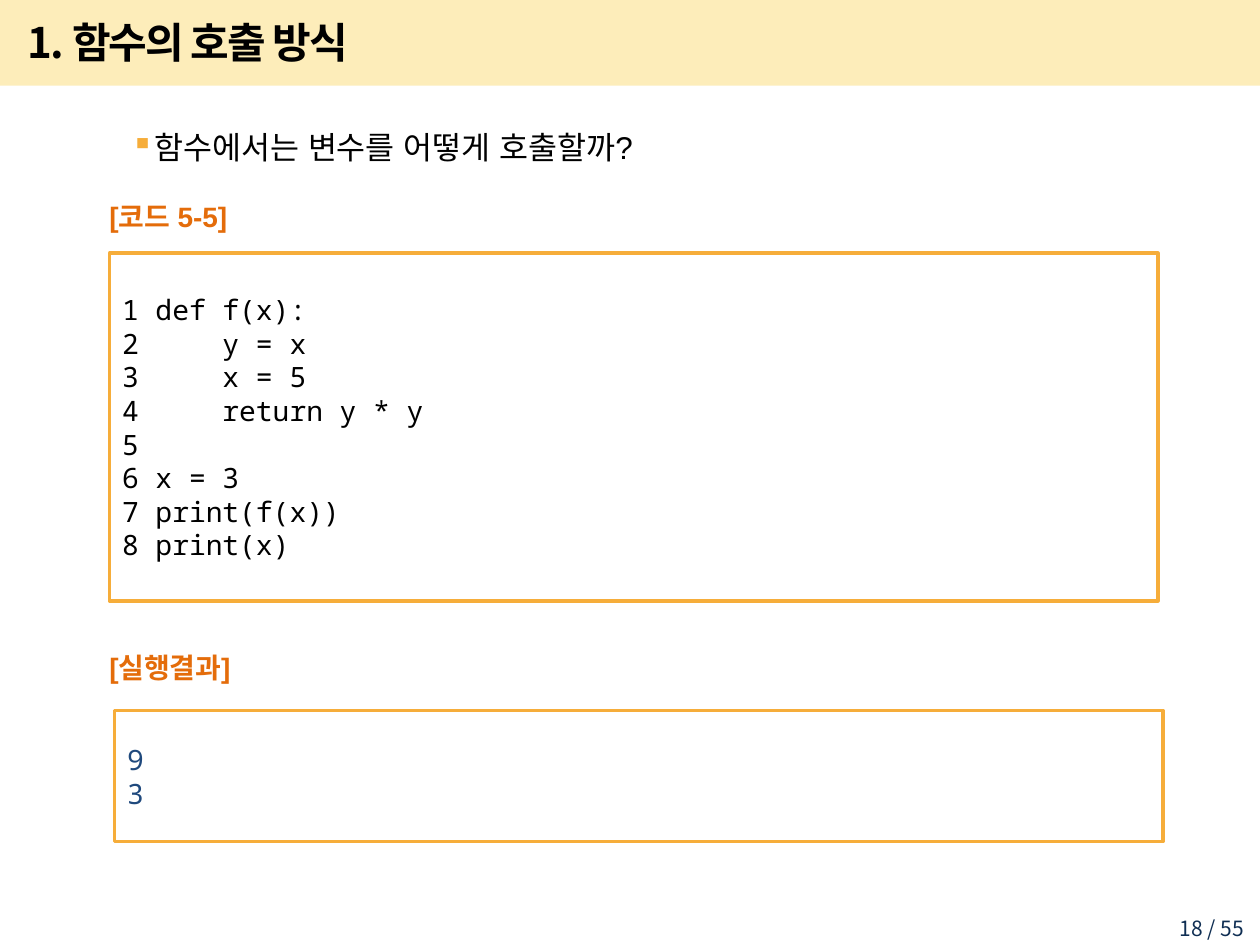
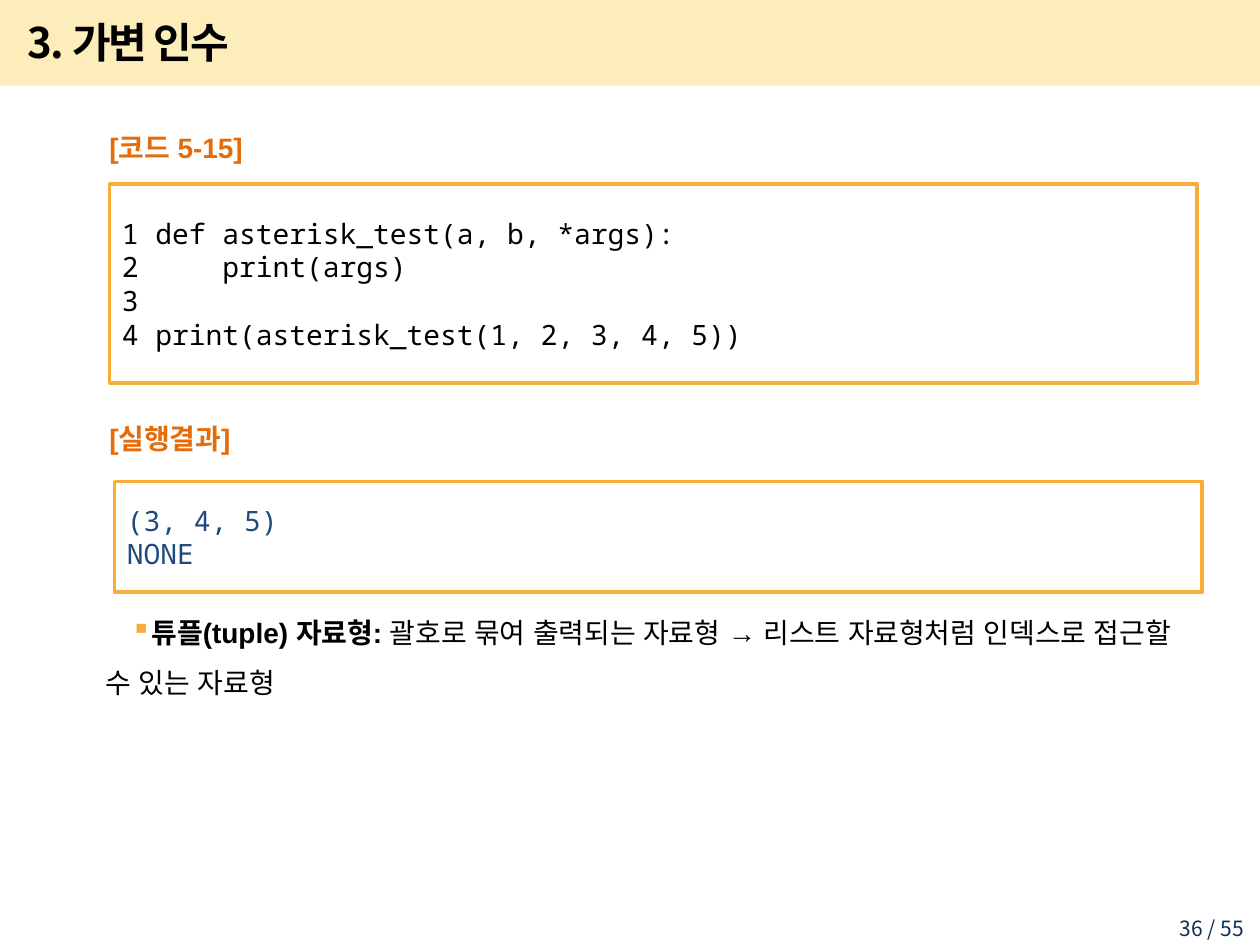
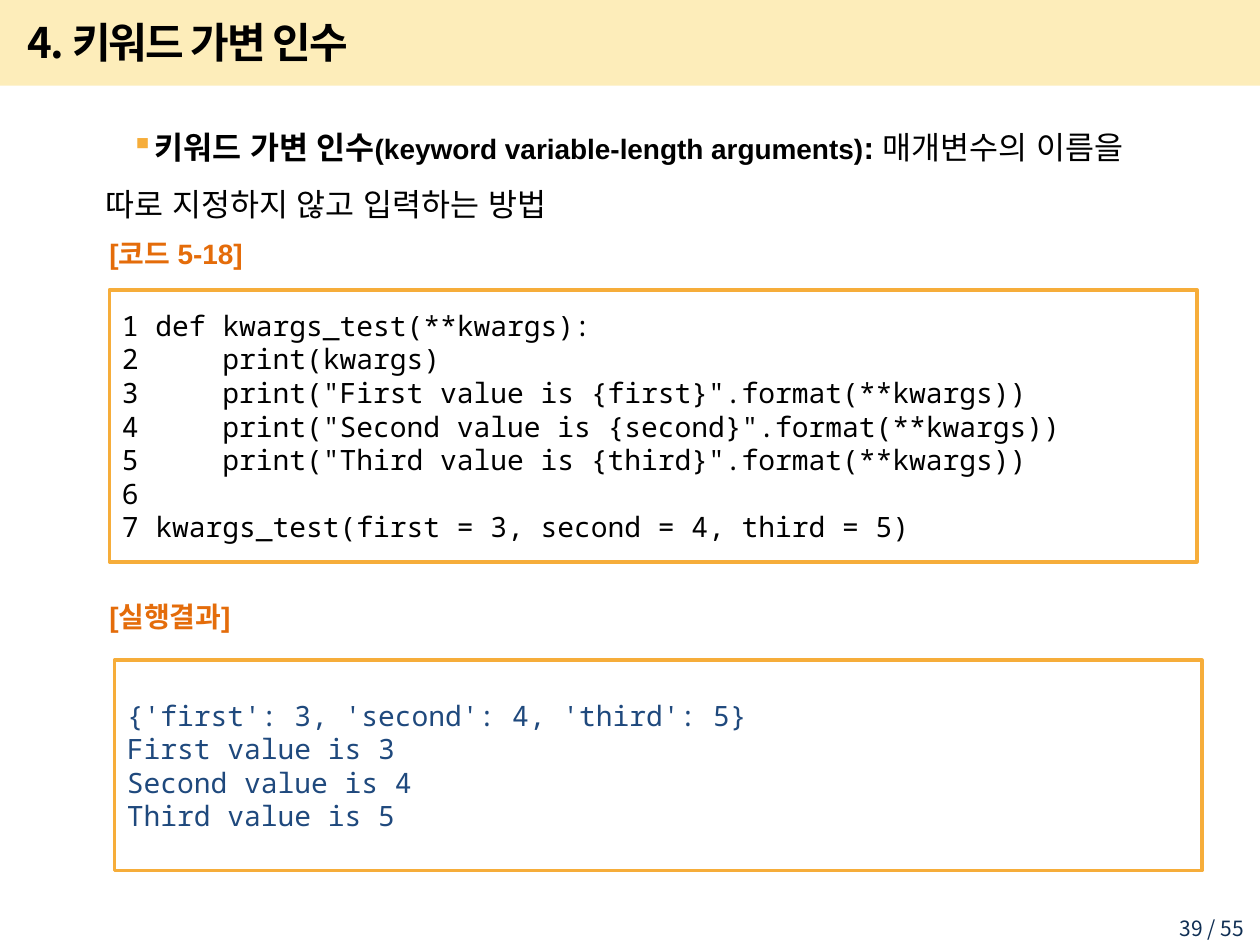
from lxml import etree
from pptx import Presentation
from pptx.dml.color import RGBColor
from pptx.enum import shapes, text
from pptx.oxml import ns
from pptx.util import Inches, Pt

BLACK = RGBColor(0x00, 0x00, 0x00)
BAND = RGBColor(0xFA, 0xBE, 0x00)
AMBER = RGBColor(0xF6, 0xAD, 0x3A)
ORANGE = RGBColor(0xE4, 0x6C, 0x0A)
BLUE = RGBColor(0x1F, 0x49, 0x7D)
NAVY = RGBColor(0x0F, 0x2E, 0x53)

KOREAN = "Noto Sans CJK KR"
MONO = "Noto Sans Mono"
BODY = "Arial"
TOTAL_PAGES = 55
MIDDLE = text.MSO_ANCHOR.MIDDLE


def add_bullet(paragraph):
    properties = paragraph._p.get_or_add_pPr()
    properties.set("marL", str(Inches(0.39)))
    properties.set("indent", str(Inches(0.2)))
    tint = etree.SubElement(properties, ns.qn("a:buClr"))
    etree.SubElement(tint, ns.qn("a:srgbClr"), val=str(AMBER))
    etree.SubElement(properties, ns.qn("a:buChar"), char="▪")


def write(frame, lines, size=16, font=BODY, color=BLACK, bold=False, spacing=None,
          tracking=None, anchor=text.MSO_ANCHOR.TOP, align=text.PP_ALIGN.LEFT, bullet=False):
    frame.word_wrap = True
    frame.vertical_anchor = anchor
    for index, line in enumerate(lines):
        paragraph = frame.add_paragraph() if index else frame.paragraphs[0]
        if bullet:
            add_bullet(paragraph)
        paragraph.alignment = align
        paragraph.line_spacing = spacing
        for words, style in [(line, {})] if isinstance(line, str) else line:
            run = paragraph.add_run()
            run.text = words
            run.font.size = Pt(style.get("size", size))
            run.font.bold = style.get("bold", bold)
            run.font.name = font
            run.font.color.rgb = color
            properties = run._r.get_or_add_rPr()
            etree.SubElement(properties, ns.qn("a:ea"), typeface=font)
            if tracking is not None:
                properties.set("spc", str(tracking))


def add_text(slide, box, lines, **style):
    area = slide.shapes.add_textbox(*map(Inches, box))
    write(area.text_frame, lines, **style)


def add_rectangle(slide, box):
    rectangle = slide.shapes.add_shape(shapes.MSO_SHAPE.RECTANGLE, *map(Inches, box))
    rectangle.shadow.inherit = False
    return rectangle


def add_frame(slide, heading, page):
    band = add_rectangle(slide, (0, 0, 10, 0.68))
    band.fill.solid()
    band.fill.fore_color.rgb = BAND
    band.line.fill.background()
    tint = band._element.spPr.find(".//" + ns.qn("a:srgbClr"))
    etree.SubElement(tint, ns.qn("a:alpha"), val="27000")
    add_text(slide, (0.12, 0.07, 8.51, 0.52), [heading], size=24, font=KOREAN,
             bold=True, tracking=-100, anchor=MIDDLE)
    add_text(slide, (9.05, 7.22, 0.92, 0.23), [f"{page} / {TOTAL_PAGES}"], size=12,
             font=KOREAN, color=NAVY, align=text.PP_ALIGN.RIGHT)


def add_panel(slide, box, label, label_rise, label_height, lines, color):
    left, top, width, height = box
    add_text(slide, (0.77, top - label_rise, 1.57, label_height), [label],
             color=ORANGE, bold=True, anchor=MIDDLE)
    panel = add_rectangle(slide, box)
    panel.fill.background()
    panel.line.color.rgb = AMBER
    panel.line.width = Pt(2)
    write(panel.text_frame, lines, font=MONO, color=color, spacing=Pt(19.2), anchor=MIDDLE)


def add_listing(slide, top, width, height, number, code, result_height, result):
    add_panel(slide, (0.87, top, width, height), f"[코드 {number}]", 0.54, 0.5,
              [f"{count} {line}".rstrip() for count, line in enumerate(code, 1)], BLACK)
    result_top = top + height + 0.78 + (0.09 if width < 8.5 else 0)
    add_panel(slide, (0.91, result_top, width, result_height), "[실행결과]", 0.62, 0.55,
              result, BLUE)


def add_point(slide, top, runs, size=18):
    add_text(slide, (0.35, top, 9.15, 1.2), [runs], size=size, spacing=1.5, bullet=True)


def build_call_slide(slide):
    add_frame(slide, "1. 함수의 호출 방식", 18)
    add_point(slide, 0.82, [("함수에서는 변수를 어떻게 호출할까?", {})])
    code = ["def f(x):", "    y = x", "    x = 5", "    return y * y", "",
            "x = 3", "print(f(x))", "print(x)"]
    add_listing(slide, 2.01, 8.32, 2.76, "5-5", code, 1.04, ["9", "3"])


def build_variable_slide(slide):
    add_frame(slide, "3. 가변 인수", 36)
    code = ["def asterisk_test(a, b, *args):", "    print(args)", "",
            "print(asterisk_test(1, 2, 3, 4, 5))"]
    add_listing(slide, 1.46, 8.63, 1.58, "5-15", code, 0.88, ["(3, 4, 5)", "NONE"])
    add_point(slide, 4.7, [
        ("튜플(tuple) 자료형: ", {"bold": True}),
        ("괄호로 묶여 출력되는 자료형 → 리스트 자료형처럼 인덱스로 접근할 수 있는 자료형", {}),
    ], size=16)


def build_keyword_slide(slide):
    add_frame(slide, "4. 키워드 가변 인수", 39)
    add_point(slide, 0.82, [
        ("키워드 가변 인수", {"bold": True}),
        ("(keyword variable-length arguments)", {"bold": True, "size": 16}),
        (": ", {"bold": True}),
        ("매개변수의 이름을 따로 지정하지 않고 입력하는 방법", {}),
    ])
    ordinals = ["First", "Second", "Third"]
    code = ["def kwargs_test(**kwargs):", "    print(kwargs)"]
    code += [f'    print("{word} value is {{{word.lower()}}}".format(**kwargs))'
             for word in ordinals]
    code += ["", "kwargs_test(first = 3, second = 4, third = 5)"]
    result = ["{'first': 3, 'second': 4, 'third': 5}"]
    result += [f"{word} value is {value}" for value, word in enumerate(ordinals, 3)]
    add_listing(slide, 2.3, 8.63, 2.16, "5-18", code, 1.67, result)


def main():
    deck = Presentation()
    deck.slide_width, deck.slide_height = Inches(10), Inches(7.5)
    for build in (build_call_slide, build_variable_slide, build_keyword_slide):
        build(deck.slides.add_slide(deck.slide_layouts[6]))
    deck.save("out.pptx")


if __name__ == "__main__":
    main()
